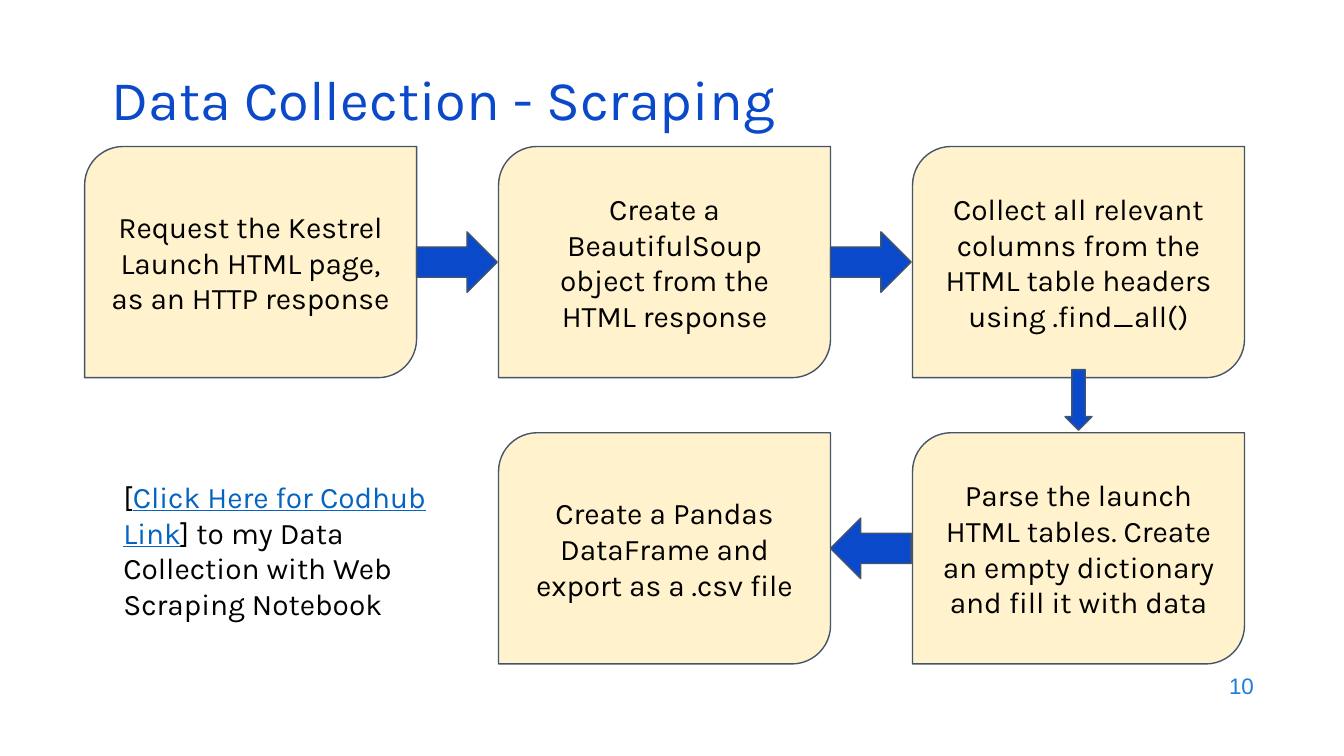
from dataclasses import dataclass

from pptx import Presentation
from pptx.dml.color import RGBColor
from pptx.enum.shapes import MSO_SHAPE
from pptx.enum.text import MSO_ANCHOR, PP_ALIGN
from pptx.util import Inches, Pt

STEP_SHAPE = MSO_SHAPE.ROUND_2_DIAG_RECTANGLE
RIGHT, LEFT, DOWN = MSO_SHAPE.RIGHT_ARROW, MSO_SHAPE.LEFT_ARROW, MSO_SHAPE.DOWN_ARROW
TOP, MIDDLE = MSO_ANCHOR.TOP, MSO_ANCHOR.MIDDLE
ALIGN_LEFT, ALIGN_CENTER, ALIGN_RIGHT = PP_ALIGN.LEFT, PP_ALIGN.CENTER, PP_ALIGN.RIGHT


@dataclass(frozen=True)
class Theme:
    blue: RGBColor = RGBColor(0x0B, 0x49, 0xCB)
    number: RGBColor = RGBColor(0x1C, 0x7D, 0xDB)
    link: RGBColor = RGBColor(0x05, 0x63, 0xC1)
    cream: RGBColor = RGBColor(0xFF, 0xF2, 0xCC)
    outline: RGBColor = RGBColor(0x44, 0x54, 0x6A)
    black: RGBColor = RGBColor(0, 0, 0)
    font: str = "Karla"
    number_font: str = "Arial"
    title_size: int = 30
    body_size: int = 16
    number_size: int = 12


THEME = Theme()

# Lengths in inches; the slide is 16:9
SLIDE_WIDTH = 10
SLIDE_HEIGHT = SLIDE_WIDTH * 9 / 16
GRID_LEFT, GRID_TOP = 0.63, 1.09
STEP_WIDTH, STEP_HEIGHT = 2.47, 1.72
COLUMN_PITCH, ROW_PITCH = 3.08, 2.13
ARROW_WIDTH, ARROW_HEIGHT = 0.6, 0.45
DOWN_ARROW_WIDTH, DOWN_ARROW_TOP = 0.2, 2.75

STEPS = [
    (0, 0, "Request the Kestrel Launch HTML page, as an HTTP response"),
    (1, 0, "Create a BeautifulSoup object from the HTML response"),
    (2, 0, "Collect all relevant columns from the HTML table headers using .find_all()"),
    (2, 1, "Parse the launch HTML tables. Create an empty dictionary and fill it with data"),
    (1, 1, "Create a Pandas DataFrame and export as a .csv file"),
]
# Column to the left of the gap, row, direction
SIDE_ARROWS = [(0, 0, RIGHT), (1, 0, RIGHT), (1, 1, LEFT)]


def step_origin(column, row):
    return GRID_LEFT + column * COLUMN_PITCH, GRID_TOP + row * ROW_PITCH


def set_frame(frame, anchor, side, top):
    frame.word_wrap = True
    frame.vertical_anchor = anchor
    frame.margin_left = frame.margin_right = Inches(side)
    frame.margin_top = frame.margin_bottom = Inches(top)


def set_font(font, color, size=THEME.body_size, name=THEME.font):
    font.name, font.size = name, Pt(size)
    font.color.rgb = color


def add_shape(slide, kind, box, fill):
    shape = slide.shapes.add_shape(kind, *map(Inches, box))
    shape.shadow.inherit = False
    shape.fill.solid()
    shape.fill.fore_color.rgb = fill
    shape.line.color.rgb = THEME.outline
    shape.line.width = Pt(0.75)
    return shape


def add_step(slide, column, row, text):
    box = (*step_origin(column, row), STEP_WIDTH, STEP_HEIGHT)
    step = add_shape(slide, STEP_SHAPE, box, THEME.cream)
    step.adjustments[0] = 0.167
    set_frame(step.text_frame, MIDDLE, 0.1, 0.1)
    paragraph = step.text_frame.paragraphs[0]
    paragraph.text = text
    paragraph.alignment = ALIGN_CENTER
    set_font(paragraph.font, THEME.black)


def add_side_arrow(slide, column, row, kind):
    left, top = step_origin(column, row)
    arrow_top = top + (STEP_HEIGHT - ARROW_HEIGHT) / 2
    box = (left + STEP_WIDTH, arrow_top, ARROW_WIDTH, ARROW_HEIGHT)
    add_shape(slide, kind, box, THEME.blue)


def add_down_arrow(slide, column):
    left, _ = step_origin(column, 0)
    arrow_left = left + (STEP_WIDTH - DOWN_ARROW_WIDTH) / 2
    box = (arrow_left, DOWN_ARROW_TOP, DOWN_ARROW_WIDTH, ARROW_HEIGHT)
    add_shape(slide, DOWN, box, THEME.blue)


def add_text(slide, box, parts, alignment=ALIGN_LEFT, anchor=MIDDLE, margins=(0.07, 0.04)):
    """Add a one-paragraph text box and return its paragraph."""
    frame = slide.shapes.add_textbox(*map(Inches, box)).text_frame
    set_frame(frame, anchor, *margins)
    paragraph = frame.paragraphs[0]
    paragraph.alignment = alignment
    for part in parts:
        paragraph.add_run().text = part
    return paragraph


def add_notebook_note(slide):
    parts = ["[", "Click Here for Codhub Link", "] to my Data Collection with Web Scraping Notebook"]
    note = add_text(slide, (0.82, 3.46, STEP_WIDTH, 1.24), parts, anchor=TOP, margins=(0.1, 0.1))
    set_font(note.font, THEME.black)
    link = note.runs[1].font
    link.color.rgb = THEME.link
    link.underline = True


def main():
    deck = Presentation()
    deck.slide_width, deck.slide_height = Inches(SLIDE_WIDTH), Inches(SLIDE_HEIGHT)
    slide = deck.slides.add_slide(deck.slide_layouts[6])

    number = add_text(slide, (7.15, 4.94, 2.25, 0.33), ["10"], ALIGN_RIGHT)
    set_font(number.font, THEME.number, THEME.number_size, THEME.number_font)
    title = add_text(slide, (0.76, 0.57, 8.62, 0.45), ["Data Collection - Scraping"])
    title.line_spacing = 0.7
    set_font(title.font, THEME.blue, THEME.title_size)

    for column, row, text in STEPS:
        add_step(slide, column, row, text)
    for column, row, kind in SIDE_ARROWS:
        add_side_arrow(slide, column, row, kind)
    add_down_arrow(slide, 2)
    add_notebook_note(slide)
    deck.save("out.pptx")


if __name__ == "__main__":
    main()
